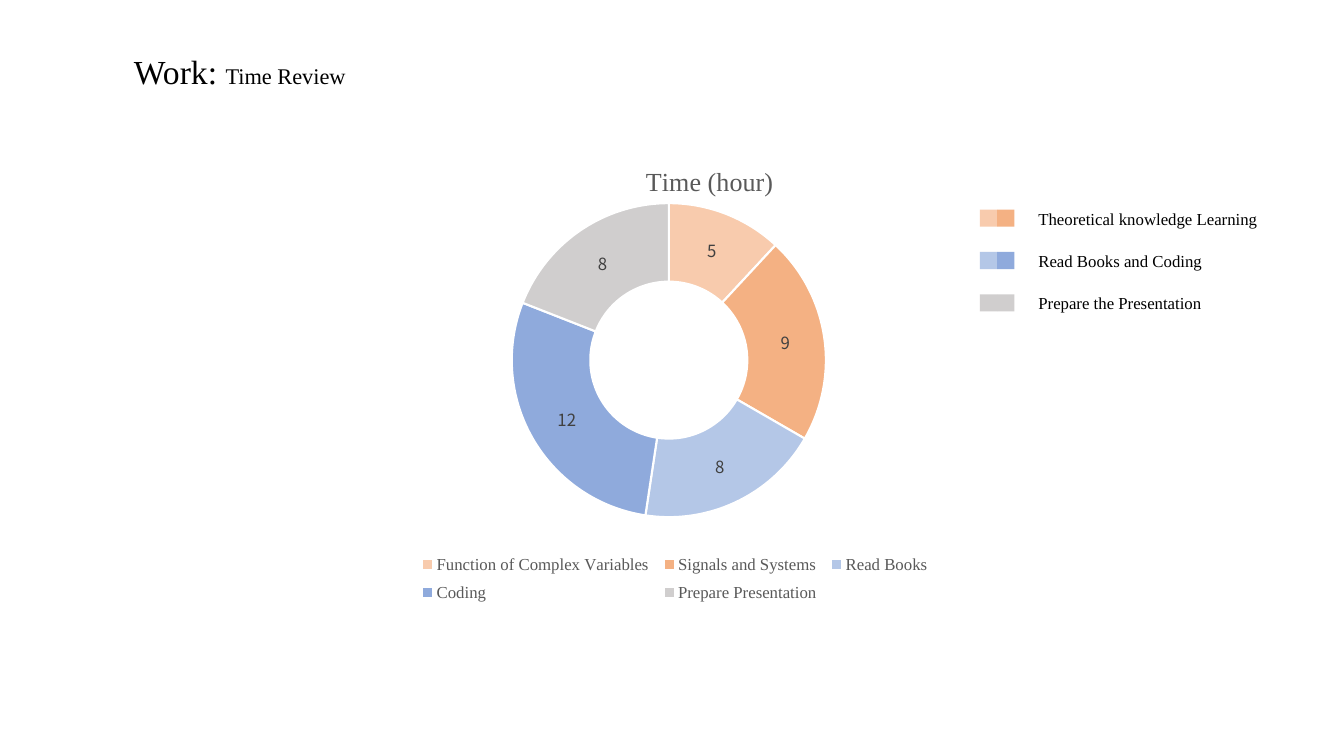
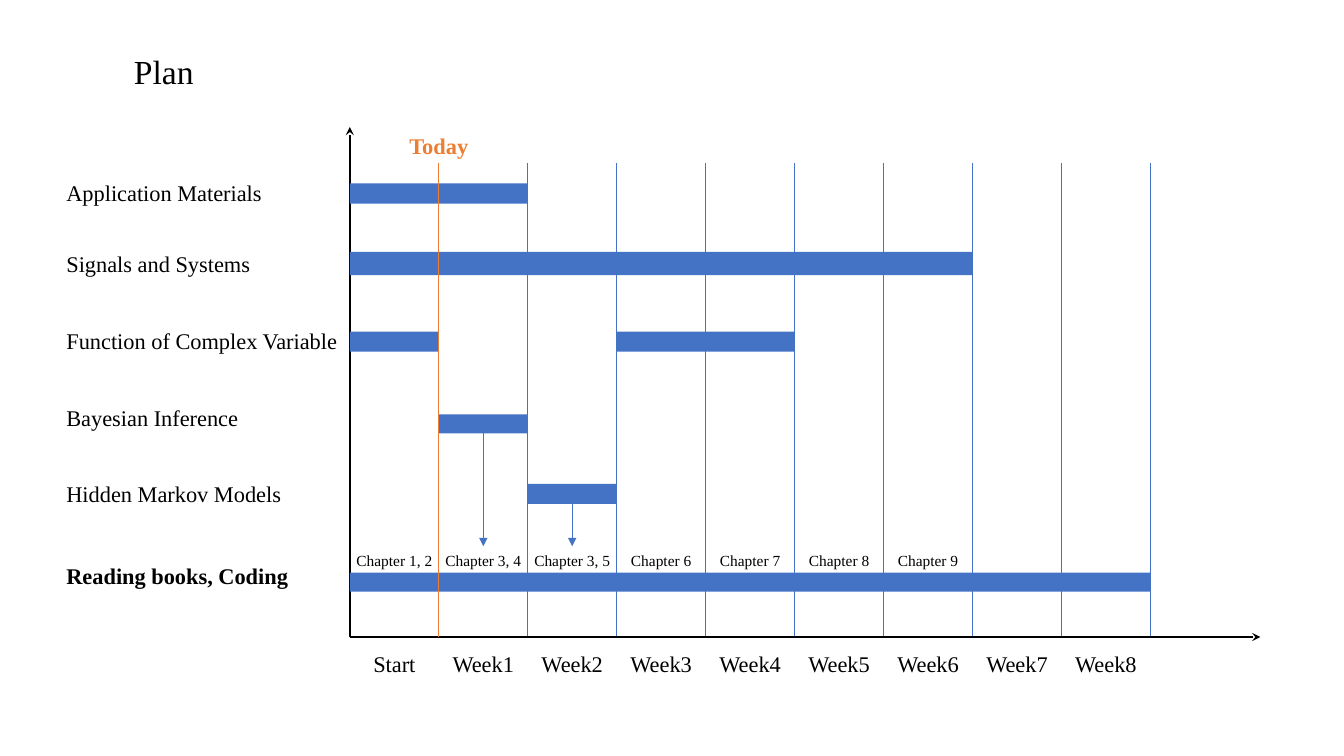
from dataclasses import dataclass

from pptx import Presentation
from pptx.chart.data import CategoryChartData
from pptx.dml.color import RGBColor
from pptx.enum.chart import XL_CHART_TYPE, XL_LEGEND_POSITION
from pptx.enum.shapes import MSO_CONNECTOR, MSO_SHAPE
from pptx.enum.text import PP_ALIGN
from pptx.oxml.ns import qn
from pptx.oxml.xmlchemy import OxmlElement
from pptx.util import Inches, Pt

DOUGHNUT = XL_CHART_TYPE.DOUGHNUT
BOTTOM = XL_LEGEND_POSITION.BOTTOM
STRAIGHT = MSO_CONNECTOR.STRAIGHT
RECT = MSO_SHAPE.RECTANGLE
LEFT, CENTER = PP_ALIGN.LEFT, PP_ALIGN.CENTER


@dataclass(frozen=True)
class Theme:
    font: str = "Times New Roman"
    label_font: str = "Noto Sans CJK SC"
    black: str = "000000"
    white: str = "FFFFFF"
    gray: str = "595959"
    label_gray: str = "404040"
    blue: str = "4472C4"
    orange: str = "ED7D31"
    light_orange: str = "F8CBAD"
    mid_orange: str = "F4B183"
    light_blue: str = "B4C7E7"
    mid_blue: str = "8FAADC"
    silver: str = "D0CECE"
    title: float = 24
    chart_title: float = 18.6
    body: float = 16
    small: float = 12
    note: float = 11


T = Theme()

HOURS = [
    ("Function of Complex Variables", 5, T.light_orange),
    ("Signals and Systems", 9, T.mid_orange),
    ("Read Books", 8, T.light_blue),
    ("Coding", 12, T.mid_blue),
    ("Prepare Presentation", 8, T.silver),
]
GROUPS = [
    ("Theoretical knowledge Learning", T.light_orange, T.mid_orange),
    ("Read Books and Coding", T.light_blue, T.mid_blue),
    ("Prepare the Presentation", T.silver, T.silver),
]
# label top, bar top, bar height, (first column, last column) spans
TASKS = [
    ("Application Materials", 0.47, 0.56, 0.2, [(0, 2)]),
    ("Signals and Systems", 1.17, 1.24, 0.23, [(0, 7)]),
    ("Function of Complex Variable", 1.94, 2.03, 0.2, [(0, 1), (3, 5)]),
    ("Bayesian Inference", 2.7, 2.85, 0.19, [(1, 2)]),
    ("Hidden Markov Models", 3.45, 3.54, 0.2, [(2, 3)]),
    ("Reading books, Coding", 4.27, 4.42, 0.19, [(0, 9)]),
]
CHAPTER_TASK = "Reading books, Coding"
LINKED_TASKS = ("Bayesian Inference", "Hidden Markov Models")
PERIODS = ["Start"] + [f"Week{n}" for n in range(1, 9)]
CHAPTERS = ["1, 2", "3, 4", "3, 5", "6", "7", "8", "9"]


def rgb(color):
    return RGBColor.from_string(color)


def style(font, size, color=T.black, name=T.font, bold=False):
    font.name, font.size, font.bold = name, Pt(size), bold
    font.color.rgb = rgb(color)


def add_text(s, x, y, w, h, text, size, color=T.black, bold=False, align=LEFT):
    tf = s.shapes.add_textbox(*map(Inches, (x, y, w, h))).text_frame
    tf.word_wrap = True
    p = tf.paragraphs[0]
    p.text, p.alignment = text, align
    style(p.font, size, color, bold=bold)
    return p


def add_rect(s, x, y, w, h, color):
    sp = s.shapes.add_shape(RECT, *map(Inches, (x, y, w, h)))
    sp.shadow.inherit = False
    sp.fill.solid()
    sp.fill.fore_color.rgb = rgb(color)
    sp.line.fill.background()


def add_line(s, x1, y1, x2, y2, color, width, arrow=None):
    cn = s.shapes.add_connector(STRAIGHT, *map(Inches, (x1, y1, x2, y2)))
    cn.line.color.rgb = rgb(color)
    cn.line.width = Pt(width)
    if arrow:
        tail = OxmlElement("a:tailEnd")
        tail.set("type", arrow)
        cn.line._get_or_add_ln().append(tail)
    cn._element.spPr.append(OxmlElement("a:effectLst"))


def add_title(s, text, detail=""):
    p = add_text(s, 1.23, 0.46, 6.49, 0.5, text, T.title)
    if detail:
        r = p.add_run()
        r.text = detail
        r.font.size = Pt(T.body)


def set_layout(parent, after=None, target=None, **place):
    for old in parent.findall(qn("c:layout")):
        parent.remove(old)
    layout, manual = OxmlElement("c:layout"), OxmlElement("c:manualLayout")
    layout.append(manual)
    values = {"layoutTarget": target} if target else {}
    values.update(xMode="edge", yMode="edge", **place)
    for tag, value in values.items():
        el = OxmlElement(f"c:{tag}")
        el.set("val", str(value))
        manual.append(el)
    index = parent.index(parent.find(qn(after))) + 1 if after else 0
    parent.insert(index, layout)


def add_hours_chart(s, x, y, w, h):
    names, hours, colors = zip(*HOURS)
    data = CategoryChartData()
    data.categories = names
    data.add_series("Series 1", hours)
    chart = s.shapes.add_chart(DOUGHNUT, *map(Inches, (x, y, w, h)), data).chart
    style(chart.font, T.small, name=T.label_font)

    chart.has_title = True
    p = chart.chart_title.text_frame.paragraphs[0]
    p.text = "Time (hour)"
    style(p.font, T.chart_title, T.gray)

    chart.has_legend = True
    chart.legend.position = BOTTOM
    chart.legend.include_in_layout = False
    style(chart.legend.font, T.small, T.gray)

    plot = chart.plots[0]
    plot.vary_by_categories = True
    plot.has_data_labels = True
    plot.data_labels.show_value = True
    plot.data_labels.show_percentage = False
    style(plot.data_labels.font, T.small, T.label_gray, T.label_font)
    for i, color in enumerate(colors):
        fmt = plot.series[0].points[i].format
        fmt.fill.solid()
        fmt.fill.fore_color.rgb = rgb(color)
        fmt.line.color.rgb = rgb(T.white)
        fmt.line.width = Pt(1.5)

    root = chart._chartSpace.find(qn("c:chart"))
    area = root.find(qn("c:plotArea"))
    area.find(f".//{qn('c:holeSize')}").set("val", "75")
    set_layout(root.find(qn("c:title")), "c:tx", x=0.45, y=0.02)
    set_layout(area, target="inner", x=0.24, y=0.1, w=0.51, h=0.69)
    set_layout(root.find(qn("c:legend")), "c:legendPos",
               x=0.08, y=0.84, w=0.85, h=0.14)


def add_group_key(s, x, y):
    pitch, swatch = 0.42, 0.17
    for i, (name, *colors) in enumerate(GROUPS):
        top = y + i * pitch
        for j, color in enumerate(colors):
            add_rect(s, x + j * swatch, top + 0.06, swatch, swatch, color)
        add_text(s, x + 0.48, top, 2.42, 0.3, name, T.small)


def add_schedule(s, x, y, w, h, label_x):
    step = w / len(PERIODS)
    base, grid_top = y + h, y + 0.36
    chapter_y = y + 4.16

    for i in range(2, len(PERIODS) + 1):
        add_line(s, x + i * step, grid_top, x + i * step, base, T.blue, 0.5)
    add_line(s, x, base, x, y, T.black, 1.5, "stealth")
    add_line(s, x, base, x + w + 1.09, base, T.black, 1.5, "stealth")

    for name, label_top, bar_top, bar_h, spans in TASKS:
        add_text(s, label_x, y + label_top, 3.08, 0.37, name, T.body,
                 bold=name == CHAPTER_TASK)
        for first, last in spans:
            add_rect(s, x + first * step, y + bar_top, (last - first) * step,
                     bar_h, T.blue)
        if name in LINKED_TASKS:
            mid = x + sum(spans[0]) / 2 * step
            add_line(s, mid, y + bar_top + bar_h, mid, chapter_y, T.blue, 0.5,
                     "triangle")

    for labels, top, width, height, size in (
        (PERIODS, base + 0.08, 0.88, 0.37, T.body),
        ([f"Chapter {c}" for c in CHAPTERS], chapter_y, 0.98, 0.29, T.note),
    ):
        for i, label in enumerate(labels):
            left = x + (i + 0.5) * step - width / 2
            add_text(s, left, top, width, height, label, size, align=CENTER)

    today = x + step
    add_line(s, today, grid_top, today, base, T.orange, 0.75)
    add_text(s, today - 0.44, y, 0.88, 0.37, "Today", T.body, T.orange, True,
             CENTER)


def add_review_slide(s):
    add_title(s, "Work: ", "Time Review")
    add_hours_chart(s, 3.61, 1.5, 6.11, 4.66)
    add_group_key(s, 9.72, 2.02)


def add_plan_slide(s):
    add_title(s, "Plan")
    add_schedule(s, 3.47, 1.26, 7.94, 5.06, label_x=0.56)


def main():
    prs = Presentation()
    prs.slide_width, prs.slide_height = Inches(13.33), Inches(7.5)
    for build in (add_review_slide, add_plan_slide):
        build(prs.slides.add_slide(prs.slide_layouts[6]))
    prs.save("out.pptx")


if __name__ == "__main__":
    main()
